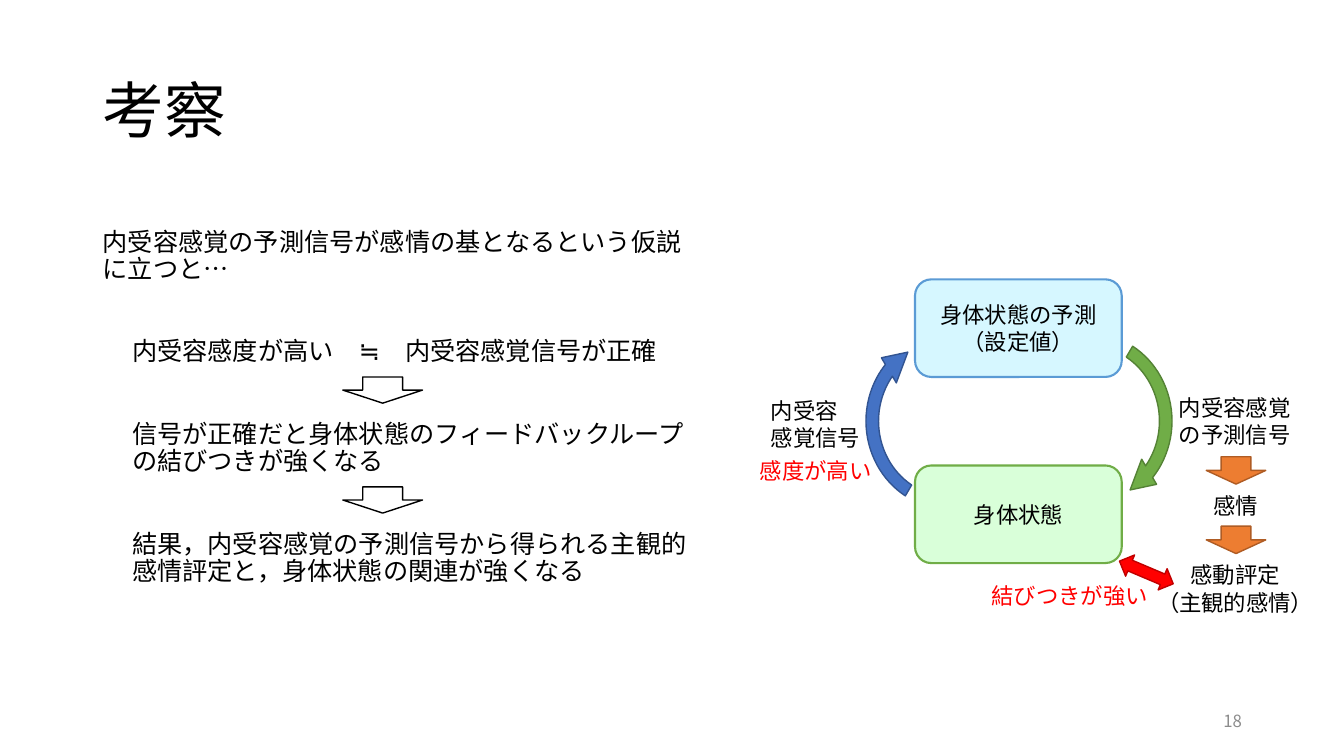
from dataclasses import dataclass

from pptx import Presentation
from pptx.dml.color import RGBColor
from pptx.enum import shapes, text
from pptx.oxml.ns import qn
from pptx.util import Cm, Pt

FONT = "Noto Sans CJK JP"
COLORS = {
    "black": "000000", "gray": "8C8C8C", "red": "FF0000", "dark_red": "C00000",
    "green": "70AD47", "dark_green": "548235", "pale_green": "D9FFD9",
    "blue": "4472C4", "dark_blue": "325491", "sky": "5B9BD5", "pale_sky": "D6F7FF",
    "orange": "ED7D31", "dark_orange": "AF5C24",
}
KIND = shapes.MSO_SHAPE
LEFT, CENTER, RIGHT = text.PP_ALIGN.LEFT, text.PP_ALIGN.CENTER, text.PP_ALIGN.RIGHT
TOP, MIDDLE = text.MSO_ANCHOR.TOP, text.MSO_ANCHOR.MIDDLE
LOOP_ARROW = (0.069, 11.423, 186.121, 126.145, 0.08)


@dataclass
class Figure:
    kind: KIND
    box: tuple[float, float, float, float]
    fill: str | None
    line: str
    weight: float = 1
    rotation: float = 0
    adjustments: tuple[float, ...] = ()
    lines: tuple[str, ...] = ()


@dataclass
class Label:
    box: tuple[float, float, float, float]
    lines: tuple[str, ...]
    size: float = 16
    color: str = "black"
    align: text.PP_ALIGN = LEFT
    anchor: text.MSO_ANCHOR = TOP
    wrap: bool = False
    spacing: float | Pt = Pt(19.4)
    gap: float = 0
    indent: float = 0


def rgb(name: str) -> RGBColor:
    return RGBColor.from_string(COLORS[name])


def write(tf, label: Label) -> None:
    """Fill a text frame; gap and indent apply after the first paragraph."""
    frame_format = {"word_wrap": label.wrap, "vertical_anchor": label.anchor}
    for name, value in frame_format.items():
        setattr(tf, name, value)
    for i, line in enumerate(label.lines):
        p = tf.add_paragraph() if i else tf.paragraphs[0]
        paragraph_format = {
            "alignment": label.align,
            "line_spacing": label.spacing,
            "space_before": Pt(label.gap if i else 0),
        }
        for name, value in paragraph_format.items():
            setattr(p, name, value)
        if i and label.indent:
            p._p.get_or_add_pPr().set("marL", str(int(Cm(label.indent))))
        r = p.add_run()
        r.text = line
        for name, value in {"name": FONT, "size": Pt(label.size)}.items():
            setattr(r.font, name, value)
        r.font.color.rgb = rgb(label.color)
        east_asian = r._r.get_or_add_rPr().makeelement(qn("a:ea"), {"typeface": FONT})
        r._r.rPr.append(east_asian)


def draw_figure(s, figure: Figure) -> None:
    sp = s.shapes.add_shape(figure.kind, *map(Cm, figure.box))
    sp.shadow.inherit = False
    sp.rotation = figure.rotation
    for i, value in enumerate(figure.adjustments):
        sp.adjustments[i] = value
    if figure.fill:
        sp.fill.solid()
        sp.fill.fore_color.rgb = rgb(figure.fill)
    else:
        sp.fill.background()
    sp.line.color.rgb = rgb(figure.line)
    sp.line.width = Pt(figure.weight)
    if figure.lines:
        write(sp.text_frame, Label(figure.box, figure.lines, align=CENTER,
                                   anchor=MIDDLE, wrap=True))


def draw_label(s, label: Label) -> None:
    write(s.shapes.add_textbox(*map(Cm, label.box)).text_frame, label)


FIGURES = [
    Figure(KIND.ROUNDED_RECTANGLE, (23.06, 11.73, 5.21, 2.46), "pale_green", "green",
           1.5, lines=("身体状態",)),
    Figure(KIND.ROUNDED_RECTANGLE, (23.06, 7.04, 5.21, 2.46), "pale_sky", "sky",
           1.5, lines=("身体状態の予測", "（設定値）")),
    Figure(KIND.CIRCULAR_ARROW, (25.02, 8.31, 4.85, 4.6), "green", "dark_green",
           rotation=90, adjustments=LOOP_ARROW),
    Figure(KIND.CIRCULAR_ARROW, (21.49, 8.31, 4.85, 4.6), "blue", "dark_blue",
           rotation=270, adjustments=LOOP_ARROW),
    *(Figure(KIND.DOWN_ARROW, (30.4, y, 1.5, 0.69), "orange", "dark_orange")
      for y in (11.51, 13.26)),
    Figure(KIND.UP_DOWN_ARROW, (28.6, 13.69, 0.58, 1.47), "red", "dark_red",
           rotation=292.9),
    *(Figure(KIND.DOWN_ARROW, (8.64, y, 2.01, 0.66), None, "black")
      for y in (9.5, 12.27)),
]

LABELS = [
    Label((2.34, 1.02, 29.21, 3.68), ("考察",), 44, anchor=MIDDLE, wrap=True,
          spacing=0.9),
    Label((23.93, 17.65, 7.62, 1.02), ("18",), 12, "gray", RIGHT, MIDDLE, True, 1.0),
    Label((2.34, 5.64, 15.29, 9.65), (
        "内受容感覚の予測信号が感情の基となるという仮説に立つと…",
        "内受容感度が高い　≒　内受容感覚信号が正確",
        "信号が正確だと身体状態のフィードバックループの結びつきが強くなる",
        "結果，内受容感覚の予測信号から得られる主観的感情評定と，身体状態の関連が強くなる",
    ), 18, wrap=True, spacing=Pt(19.5), gap=39.5, indent=0.74),
    Label((19.18, 9.88, 2.79, 1.63), ("内受容", "感覚信号")),
    Label((29.46, 9.8, 3.35, 1.63), ("内受容感覚", "の予測信号")),
    Label((30.33, 12.27, 1.65, 0.94), ("感情",)),
    Label((28.88, 14.02, 4.5, 1.63), ("感動評定", "（主観的感情）"), align=CENTER),
    Label((18.9, 11.38, 3.35, 0.94), ("感度が高い",), color="red"),
    Label((24.74, 14.53, 4.5, 0.94), ("結びつきが強い",), color="red"),
]


def main() -> None:
    prs = Presentation()
    prs.slide_width, prs.slide_height = Cm(33.87), Cm(19.05)
    s = prs.slides.add_slide(prs.slide_layouts[6])
    for figure in FIGURES:
        draw_figure(s, figure)
    for label in LABELS:
        draw_label(s, label)
    prs.save("out.pptx")


if __name__ == "__main__":
    main()
